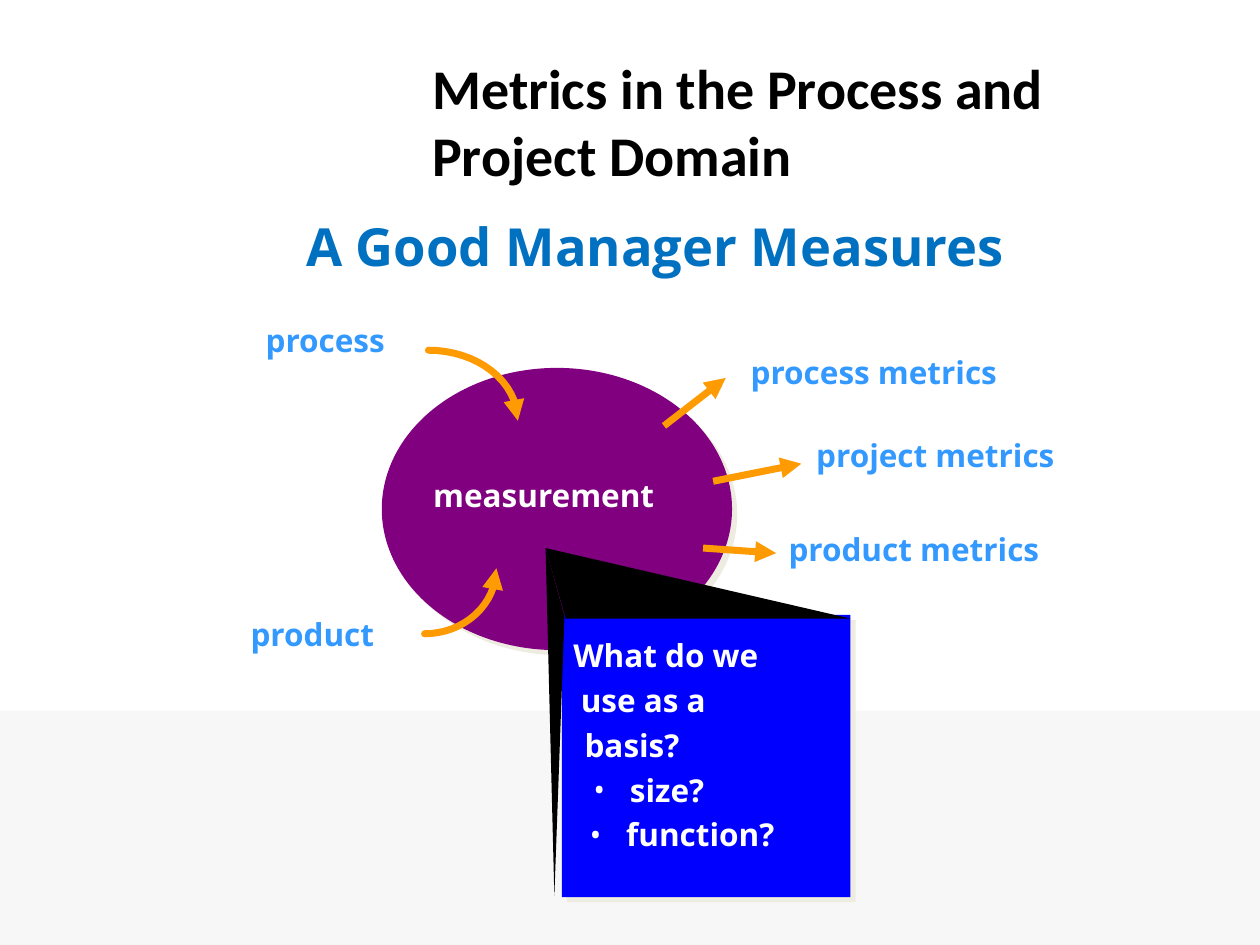
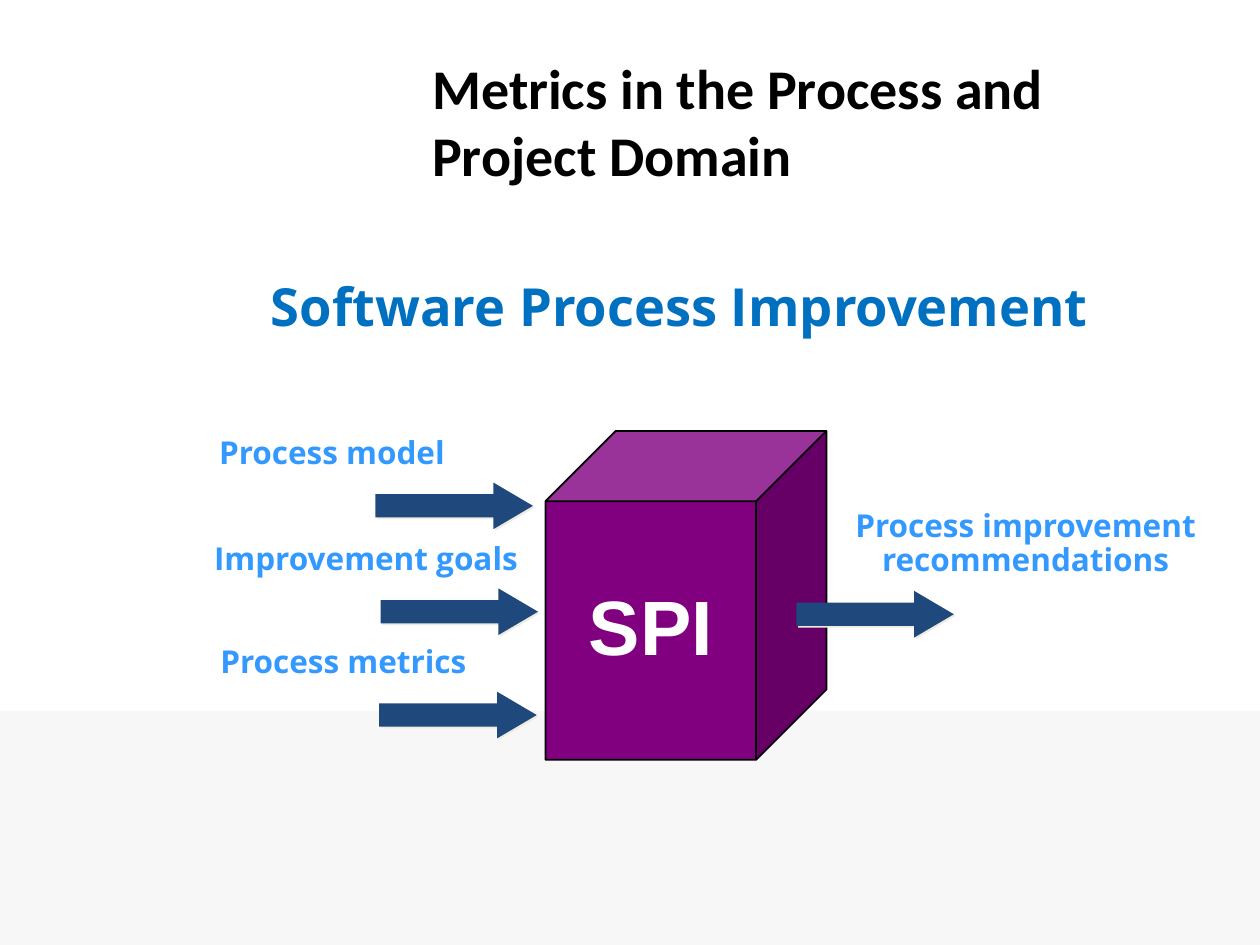
import copy
import math

import pptx
import pptx.dml.color
import pptx.enum.shapes
import pptx.enum.text
import pptx.oxml.ns
import pptx.util
from lxml import etree

Inches = pptx.util.Inches
Pt = pptx.util.Pt
RGB = pptx.dml.color.RGBColor.from_string
qn = pptx.oxml.ns.qn
SHAPE = pptx.enum.shapes.MSO_SHAPE
ALIGN = pptx.enum.text.PP_ALIGN
ANCHOR = pptx.enum.text.MSO_ANCHOR
AUTO_SIZE = pptx.enum.text.MSO_AUTO_SIZE

COLORS = {
    "band": "F7F7F7",
    "black": "000000",
    "white": "FFFFFF",
    "heading": "0070C0",
    "label": "3399FF",
    "purple": "800080",
    "blue": "0000FF",
    "navy": "1F497D",
    "orange": "FE9B03",
    "shadow": "EEECE1",
}


def write(box, text, color="label", size=18, font="Open Sans", align=ALIGN.LEFT,
          anchor=ANCHOR.TOP, wrap=False, spacing=None, before=0):
    frame = box.text_frame
    frame.text = text
    frame.word_wrap = wrap
    frame.vertical_anchor = anchor
    frame.auto_size = AUTO_SIZE.NONE
    for index, para in enumerate(frame.paragraphs):
        para.alignment = align
        para.line_spacing = spacing
        if index and before:
            para.space_before = Pt(before)
        for span in para.runs:
            span.font.name = font
            span.font.size = Pt(size)
            span.font.bold = True
            span.font.color.rgb = RGB(COLORS[color])
        for line_break in para._p.findall(qn("a:br")):
            line_break.append(copy.deepcopy(para.runs[0]._r.rPr))
    return frame


def style(shape, fill=None, line=None, width=1, shadow=0, arrow=False, cap="flat"):
    if fill:
        shape.fill.solid()
        shape.fill.fore_color.rgb = RGB(COLORS[fill])
    elif hasattr(shape, "fill"):
        shape.fill.background()
    if line:
        shape.line.color.rgb = RGB(COLORS[line])
        shape.line.width = Pt(width)
    else:
        shape.line.fill.background()
    properties = shape.element.spPr
    if arrow:
        outline = properties.find(qn("a:ln"))
        outline.set("cap", cap)
        etree.SubElement(outline, qn("a:tailEnd"), type="triangle")
    effects = etree.SubElement(properties, qn("a:effectLst"))
    if shadow:
        outer = etree.SubElement(effects, qn("a:outerShdw"), dist=str(Pt(shadow)),
                                 dir="2700000", algn="ctr", rotWithShape="0")
        etree.SubElement(outer, qn("a:srgbClr"), val=COLORS["shadow"])


deck = pptx.Presentation()
deck.slide_width = Inches(10)
deck.slide_height = Inches(7.5)
layout = deck.slide_layouts[5]

pages = []
headings = [
    ("A Good Manager Measures", 0.67, 1.63, 9.06, 0.64),
    ("Software Process Improvement", 1.23, 2.08, 8.33, 0.69),
]
for heading, *place in headings:
    page = deck.slides.add_slide(layout)
    title = page.shapes.title
    title.left, title.top, title.width, title.height = map(Inches, (3.33, 0.33, 6.67, 1.25))
    write(title, "Metrics in the Process and \vProject Domain", color="black", size=32,
          font="Calibri", anchor=ANCHOR.MIDDLE, wrap=True)
    box = page.shapes.add_textbox(*map(Inches, place))
    write(box, heading, color="heading", size=30, align=ALIGN.CENTER,
          anchor=ANCHOR.MIDDLE, wrap=True)
    pages.append(page)
measures, improvement = pages

band = measures.shapes.add_shape(SHAPE.RECTANGLE, 0, Inches(5.64), Inches(10), Inches(1.86))
style(band, fill="band")
layout.shapes.element.insert(2, band.element)

ellipse = measures.shapes.add_shape(
    SHAPE.OVAL, Inches(3.03), Inches(2.92), Inches(2.78), Inches(2.24))
style(ellipse, fill="purple", shadow=4.2)

panel = measures.shapes.add_shape(
    SHAPE.RECTANGLE, Inches(4.46), Inches(4.88), Inches(2.29), Inches(2.24))
style(panel, fill="blue", shadow=4.2)

labels = [
    ("process", 2.01, 2.5, 1.15, "label"),
    ("product", 1.89, 4.83, 1.18, "label"),
    ("measurement", 3.34, 3.73, 1.96, "white"),
    ("process metrics", 5.86, 2.75, 2.16, "label"),
    ("project metrics", 6.38, 3.41, 2.1, "label"),
    ("product metrics", 6.16, 4.16, 2.19, "label"),
]
for text, left, top, width, color in labels:
    box = measures.shapes.add_textbox(Inches(left), Inches(top), Inches(width), Inches(0.4))
    write(box, text, color=color)

input_arcs = [(3.4, 3.34, 0.71, -0.56), (3.37, 4.51, 0.57, 0.52)]
steps = 16
for center_x, center_y, radius_x, radius_y in input_arcs:
    angles = [math.pi / 2 * (1 - step / steps) for step in range(steps + 1)]
    points = [(Inches(center_x + radius_x * math.cos(angle)),
               Inches(center_y + radius_y * math.sin(angle))) for angle in angles]
    builder = measures.shapes.build_freeform(*points[0])
    builder.add_line_segments(points[1:], close=False)
    style(builder.convert_to_shape(), line="orange", width=4, arrow=True, cap="rnd")

output_arrows = [(5.27, 3.38, 5.76, 3), (5.66, 3.82, 6.36, 3.68), (5.58, 4.35, 6.16, 4.39)]
for ends in output_arrows:
    connector = measures.shapes.add_connector(
        pptx.enum.shapes.MSO_CONNECTOR.STRAIGHT, *map(Inches, ends))
    style(connector, line="orange", width=4, arrow=True)

callout_sides = [
    [(4.33, 4.35), (6.75, 4.91), (4.49, 4.91)],
    [(4.33, 4.35), (4.4, 7.11), (4.48, 4.89)],
]
for corners in callout_sides:
    points = [(Inches(x), Inches(y)) for x, y in corners]
    builder = measures.shapes.build_freeform(*points[0])
    builder.add_line_segments(points[1:], close=True)
    style(builder.convert_to_shape(), fill="black")

basis = measures.shapes.add_textbox(Inches(4.5), Inches(5), Inches(2.2), Inches(1.95))
frame = write(basis, "What do we\nuse as a\nbasis?\nsize?\nfunction?", color="white",
              wrap=True, before=4)
frame.margin_left = Inches(0.05)
indents = [(0, 0), (0.06, 0), (0.09, 0), (0.45, -0.29), (0.42, -0.29)]
for para, (margin, hanging) in zip(frame.paragraphs, indents):
    properties = para._p.get_or_add_pPr()
    properties.set("marL", str(Inches(margin)))
    properties.set("indent", str(Inches(hanging)))
    if hanging:
        etree.SubElement(properties, qn("a:buFont"), typeface="Open Sans")
        etree.SubElement(properties, qn("a:buChar"), char="•")
        para.font.name = "Open Sans"
        para.font.size = Pt(18)
        para.font.bold = True

cube = improvement.shapes.add_shape(
    SHAPE.CUBE, Inches(4.33), Inches(3.42), Inches(2.23), Inches(2.61))
style(cube, fill="purple", line="black")
write(cube, "SPI", color="white", size=44, font="Arial", align=ALIGN.CENTER,
      anchor=ANCHOR.MIDDLE, spacing=0.9)

flows = [
    ("Process model", 1.64, 3.42, 2, 0.37, 2.98, 3.83, ALIGN.LEFT),
    ("Improvement goals", 1.6, 4.26, 2.62, 0.37, 3.02, 4.67, ALIGN.LEFT),
    ("Process metrics", 1.65, 5.08, 2.16, 0.37, 3.01, 5.49, ALIGN.LEFT),
    ("Process improvement\nrecommendations", 6.68, 4, 2.92, 0.64, 6.32, 4.69, ALIGN.CENTER),
]
for text, left, top, width, height, arrow_left, arrow_top, align in flows:
    arrow = improvement.shapes.add_shape(
        SHAPE.RIGHT_ARROW, Inches(arrow_left), Inches(arrow_top), Inches(1.25), Inches(0.37))
    arrow.adjustments[1] = 0.85
    style(arrow, fill="navy", shadow=1.4)
    box = improvement.shapes.add_textbox(*map(Inches, (left, top, width, height)))
    write(box, text, align=align, spacing=0.9)

deck.save("out.pptx")
